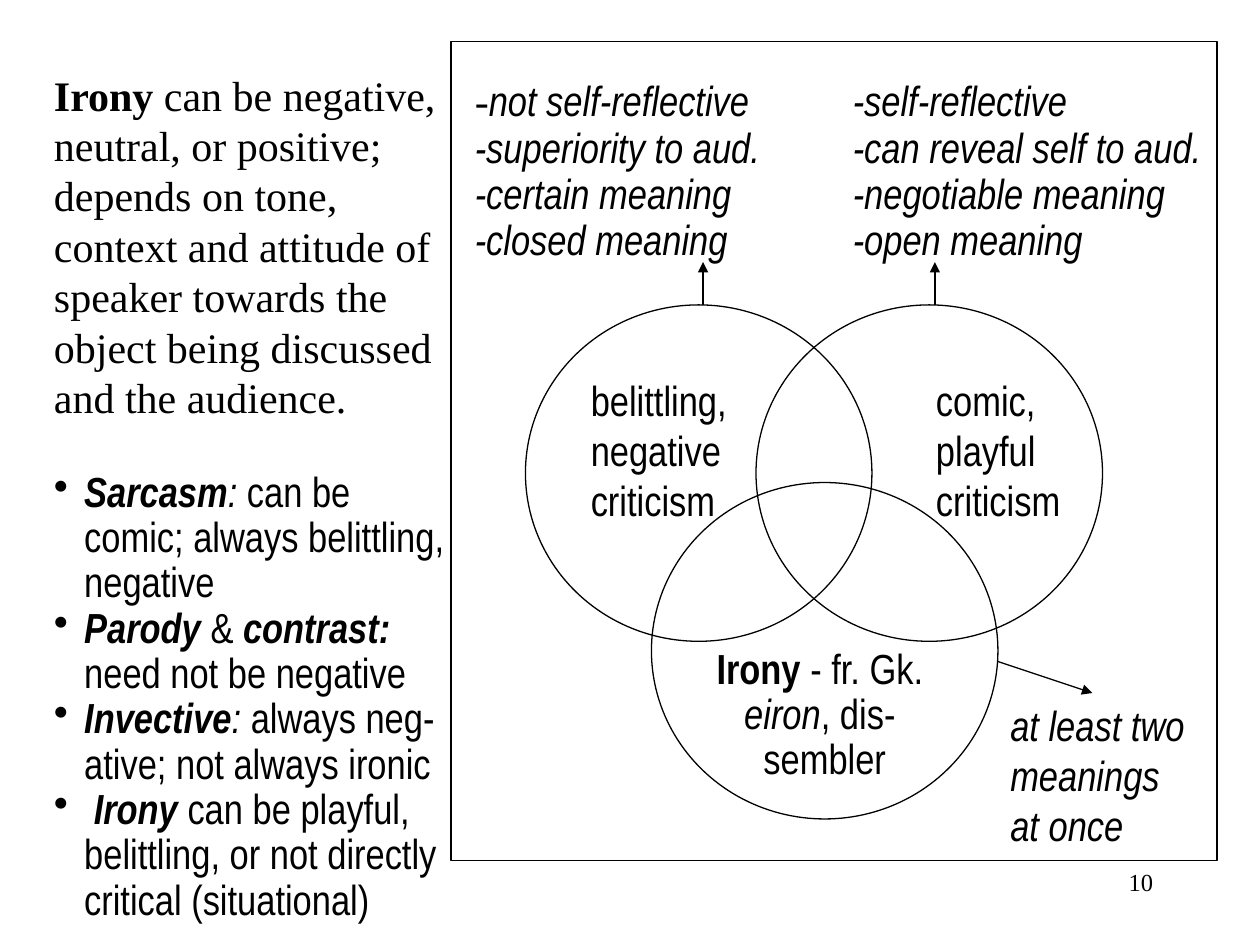
from dataclasses import dataclass

from lxml.etree import SubElement
from pptx import Presentation
from pptx.dml.color import RGBColor
from pptx.enum.shapes import MSO_CONNECTOR, MSO_SHAPE
from pptx.enum.text import MSO_ANCHOR, PP_ALIGN
from pptx.oxml.ns import qn
from pptx.util import Inches, Pt


@dataclass(frozen=True)
class Theme:
    ink: RGBColor = RGBColor(0, 0, 0)
    serif: str = "Times New Roman"
    narrow: str = "Arial Narrow"
    body: int = 24
    number: int = 14
    stroke: float = 0.75
    tight: float = 0.9


THEME = Theme()
STYLES = {"": (False, False), "b": (True, False), "i": (False, True), "bi": (True, True)}
CIRCLE_SIZE = (2.75, 2.67)

DEFINITION = [
    ("Irony", "b"),
    (" can be negative, neutral, or positive; depends on tone, context and attitude "
     "of speaker towards the object being discussed and the audience.", ""),
]
TERMS = [
    [("Sarcasm", "bi"), (": ", "i"), ("can be comic; always belittling, negative", "")],
    [("Parody", "bi"), (" & ", ""), ("contrast: ", "bi"), ("need not be negative", "")],
    [("Invective", "bi"), (": ", "i"), ("always neg-ative; not always ironic", "")],
    [(" ", "b"), ("Irony", "bi"),
     (" can be playful, belittling, or not directly critical (situational)", "")],
]
IRONY_ORIGIN = [
    [("Irony ", "b"), ("- fr. Gk. ", "")],
    [("eiron", "i"), (", dis- ", "")],
    [("sembler", "")],
]
CONTRASTS = [
    ("not self-reflective", "-self-reflective"),
    ("-superiority to aud.", "-can reveal self to aud."),
    ("-certain meaning", "-negotiable meaning"),
    ("-closed meaning", "-open meaning"),
]


def add_outline(page, kind, left, top, width, height):
    shape = page.shapes.add_shape(
        kind, Inches(left), Inches(top), Inches(width), Inches(height))
    shape.shadow.inherit = False
    shape.fill.background()
    shape.line.color.rgb = THEME.ink
    shape.line.width = Pt(THEME.stroke)
    return shape


def add_arrow(page, start, end):
    arrow = page.shapes.add_connector(
        MSO_CONNECTOR.STRAIGHT, *(Inches(value) for value in (*start, *end)))
    arrow.line.color.rgb = THEME.ink
    arrow.line.width = Pt(THEME.stroke)
    SubElement(arrow.line._get_or_add_ln(), qn("a:tailEnd"), type="triangle")
    SubElement(arrow._element.spPr, qn("a:effectLst"))


def add_box(page, left, top, width, height):
    box = page.shapes.add_textbox(
        Inches(left), Inches(top), Inches(width), Inches(height))
    box.text_frame.word_wrap = True
    return box.text_frame


def write_paragraph(frame, spans, font=THEME.narrow, size=THEME.body):
    para = frame.paragraphs[0]
    if para.runs:
        para = frame.add_paragraph()
    for text, style in spans:
        span = para.add_run()
        span.text = text
        span.font.bold, span.font.italic = STYLES[style]
    para.font.name = font
    para.font.size = Pt(size)
    para.font.color.rgb = THEME.ink
    return para


def set_bullet(para, indent):
    properties = para._p.get_or_add_pPr()
    properties.set("marL", str(Inches(indent)))
    properties.set("indent", str(-Inches(indent)))
    bullet = SubElement(properties, qn("a:buChar"), char="•")
    properties.insert_element_before(bullet, "a:tabLst", "a:defRPr", "a:extLst")


def set_tab(para, position):
    properties = para._p.get_or_add_pPr()
    tabs = SubElement(properties, qn("a:tabLst"))
    SubElement(tabs, qn("a:tab"), pos=str(Inches(position)), algn="l")
    properties.insert_element_before(tabs, "a:defRPr", "a:extLst")


def add_irony_circle(page):
    circle = add_outline(page, MSO_SHAPE.OVAL, 5.17, 3.83, *CIRCLE_SIZE)
    frame = circle.text_frame
    frame.word_wrap = False
    frame.vertical_anchor = MSO_ANCHOR.TOP
    frame.margin_top = Inches(0.92)
    for spans in IRONY_ORIGIN:
        para = write_paragraph(frame, spans)
        para.alignment = PP_ALIGN.CENTER
        para.line_spacing = THEME.tight


def add_contrasts(page):
    frame = add_box(page, 3.67, 0.75, 6.83, 1.37)
    for index, (closed, opened) in enumerate(CONTRASTS):
        spans = [(f"{closed}\t{opened}", "i")]
        if index == 0:
            spans.insert(0, ("-", "i"))
        para = write_paragraph(frame, spans)
        para.line_spacing = 0.4
        if index == 0:
            para.runs[0].font.name = THEME.serif
        else:
            para.space_before = Pt(15)
        set_tab(para, 3)


def add_definitions(page):
    frame = add_box(page, 0.33, 0.5, 3.33, 6.54)
    write_paragraph(frame, DEFINITION, THEME.serif)
    for index, spans in enumerate(TERMS):
        para = write_paragraph(frame, spans)
        para.line_spacing = THEME.tight
        if index == 0:
            para.space_before = Pt(28)
        set_bullet(para, 0.24)


def add_label(page, left, top, width, height, lines, style=""):
    frame = add_box(page, left, top, width, height)
    for line in lines:
        write_paragraph(frame, [(line, style)])


def add_page_number(page):
    frame = add_box(page, 7.17, 6.83, 2.08, 0.5)
    para = write_paragraph(frame, [("10", "")], THEME.serif, THEME.number)
    para.alignment = PP_ALIGN.RIGHT


def main():
    deck = Presentation()
    deck.slide_width, deck.slide_height = Inches(10), Inches(7.5)
    page = deck.slides.add_slide(deck.slide_layouts[6])

    add_irony_circle(page)
    for left in (4.17, 6):
        add_outline(page, MSO_SHAPE.OVAL, left, 2.42, *CIRCLE_SIZE)
    add_label(page, 4.59, 2.92, 1.28, 1.3, ["belittling,", "negative", "criticism"])
    add_label(page, 7.33, 2.92, 1.58, 1.3, ["comic,", "playful criticism"])
    add_contrasts(page)
    for center in (7.42, 5.58):
        add_arrow(page, (center, 2.42), (center, 2.08))
    add_definitions(page)
    add_outline(page, MSO_SHAPE.RECTANGLE, 3.58, 0.33, 6.08, 6.5)
    add_label(page, 7.92, 5.5, 1.67, 1.3, ["at least two meanings at once"], "i")
    add_arrow(page, (7.92, 5.25), (8.67, 5.5))
    add_page_number(page)

    deck.save("out.pptx")


if __name__ == "__main__":
    main()
